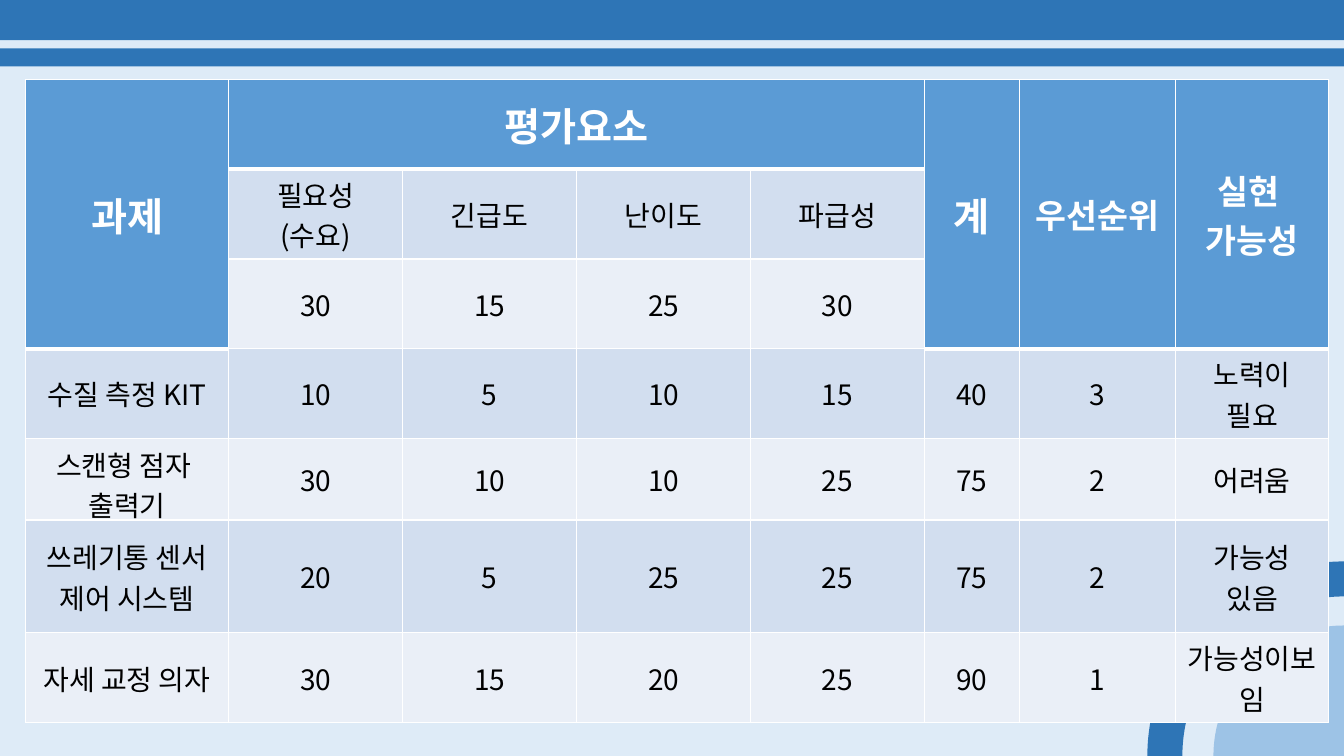
from lxml.etree import SubElement
from pptx import Presentation
from pptx.dml.color import RGBColor
from pptx.enum.shapes import MSO_SHAPE as Shape
from pptx.enum.text import MSO_ANCHOR as Anchor, PP_ALIGN as Align
from pptx.oxml.ns import qn
from pptx.util import Inches, Pt

# Content: None marks a cell covered by a merged one
ROWS = [
    ["과제", "평가요소", None, None, None, "계", "우선순위", "실현 \n가능성"],
    [None, "필요성\n(수요)", "긴급도", "난이도", "파급성", None, None, None],
    [None, 30, 15, 25, 30, None, None, None],
    ["수질 측정 KIT", 10, 5, 10, 15, 40, 3, "노력이\n필요"],
    ["스캔형 점자 \n출력기", 30, 10, 10, 25, 75, 2, "어려움"],
    ["쓰레기통 센서 제어 시스템", 20, 5, 25, 25, 75, 2, "가능성\n있음"],
    ["자세 교정 의자", 30, 15, 20, 25, 90, 1, "가능성이보임"],
]
HEADER_SIZES = {0: 28, 1: 28, 5: 28, 6: 24, 7: 24}
FACTOR_COLUMNS = range(1, 5)
HEADER_ROWS = 3
COLUMN_WIDTHS = [2.02] + [6.9 / 4] * 4 + [0.94, 1.55, 1.52]
ROW_HEIGHTS = [0.89] * 4 + [0.81, 1.12, 0.89]
# Top and bottom margins of tight cells; the others have none
TIGHT_MARGINS = {(0, 7): (-0.05, -0.05), (4, 0): (0.05, -0.05)}

FONT = "Noto Sans CJK KR"
BLUE, PALE_BLUE, BACKGROUND = "2E75B6", "9DC3E6", "DEEBF7"
HEADER_FILL, BAND_FILLS = "5B9BD5", ("EAEFF7", "D2DEEF")
WHITE, BLACK = "FFFFFF", "000000"
WIDTH, HEIGHT = 13.33, 7.5


def paint(fill, color):
    fill.solid()
    fill.fore_color.rgb = RGBColor.from_string(color)


def add_decor(kind, left, top, width, height, color):
    shape = page.shapes.add_shape(
        kind, Inches(left), Inches(top), Inches(width), Inches(height))
    shape.shadow.inherit = False
    paint(shape.fill, color)
    shape.line.fill.background()
    return shape


def add_corner_disc(kind, width, height, color):
    return add_decor(kind, WIDTH - width / 2, HEIGHT - height / 2, width, height, color)


def rule_width(row, column):
    """Width of the rule above a cell: thick right below a header."""
    header_end = 1 if column in FACTOR_COLUMNS else HEADER_ROWS
    return 3 if row == header_end else 1


def set_borders(cell, row, column):
    in_tall_header = column not in FACTOR_COLUMNS and row < HEADER_ROWS
    below = HEADER_ROWS if in_tall_header else row + 1
    widths = {"lnL": 1, "lnR": 1, "lnT": rule_width(row, column),
              "lnB": rule_width(below, column)}
    props = cell._tc.get_or_add_tcPr()
    for index, (side, width) in enumerate(widths.items()):
        line = SubElement(props, qn(f"a:{side}"), w=str(Pt(width)))
        SubElement(SubElement(line, qn("a:solidFill")), qn("a:srgbClr"), val=WHITE)
        props.insert(index, line)


def write(cell, text, size, color, bold):
    cell.vertical_anchor = Anchor.MIDDLE
    cell.text_frame.text = str(text)
    for para in cell.text_frame.paragraphs:
        para.alignment = Align.CENTER
        for span in para.runs:
            for name, value in {"size": Pt(size), "bold": bold, "name": FONT}.items():
                setattr(span.font, name, value)
            paint(span.font.fill, color)
            SubElement(span._r.get_or_add_rPr(), qn("a:ea"), typeface=FONT)


deck = Presentation()
deck.slide_width, deck.slide_height = Inches(WIDTH), Inches(HEIGHT)
page = deck.slides.add_slide(deck.slide_layouts[6])
paint(page.background.fill, BACKGROUND)

# Top bands and corner rings
for top, height in [(0, 0.4), (0.48, 0.18)]:
    add_decor(Shape.RECTANGLE, 0, top, WIDTH, height, BLUE)
ring = add_corner_disc(Shape.DONUT, 3.9, 3.86, BLUE)
ring.adjustments[0] = 0.09
add_corner_disc(Shape.OVAL, 2.59, 2.59, PALE_BLUE)

# Evaluation table
table = page.shapes.add_table(
    len(ROWS), len(COLUMN_WIDTHS), Inches(0.25), Inches(0.79),
    Inches(sum(COLUMN_WIDTHS)), Inches(sum(ROW_HEIGHTS))).table
for column, width in zip(table.columns, COLUMN_WIDTHS):
    column.width = Inches(width)
for row, height in zip(table.rows, ROW_HEIGHTS):
    row.height = Inches(height)

for r, texts in enumerate(ROWS):
    for c, text in enumerate(texts):
        cell = table.cell(r, c)
        is_header = r == 0 or (r < HEADER_ROWS and c not in FACTOR_COLUMNS)
        paint(cell.fill, HEADER_FILL if is_header else BAND_FILLS[r % 2])
        set_borders(cell, r, c)
        margins = TIGHT_MARGINS.get((r, c), (0, 0))
        cell.margin_top, cell.margin_bottom = map(Inches, margins)
        if text is not None:
            size = HEADER_SIZES[c] if is_header else 20
            write(cell, text, size, WHITE if is_header else BLACK, is_header)

# Merged headers
table.cell(0, FACTOR_COLUMNS[0]).merge(table.cell(0, FACTOR_COLUMNS[-1]))
for c in HEADER_SIZES:
    if c not in FACTOR_COLUMNS:
        table.cell(0, c).merge(table.cell(HEADER_ROWS - 1, c))

deck.save("out.pptx")
